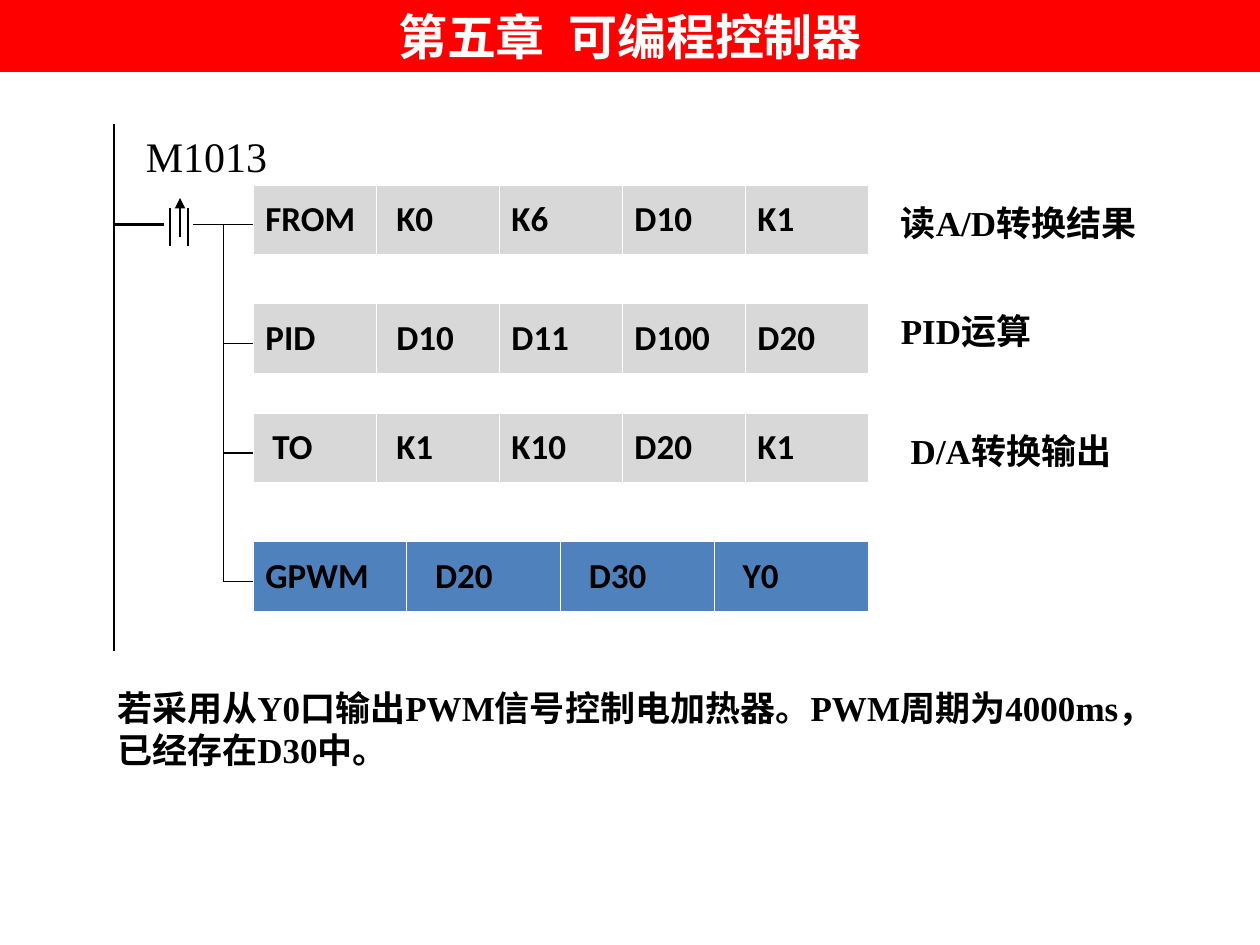
from lxml import etree
from pptx import Presentation
from pptx.dml.color import RGBColor
from pptx.enum.shapes import MSO_CONNECTOR, MSO_SHAPE
from pptx.enum.text import MSO_ANCHOR, PP_ALIGN
from pptx.oxml import parse_xml
from pptx.oxml.ns import nsdecls, qn
from pptx.util import Cm, Pt

STRAIGHT = MSO_CONNECTOR.STRAIGHT
RECTANGLE = MSO_SHAPE.RECTANGLE
TOP, MIDDLE = MSO_ANCHOR.TOP, MSO_ANCHOR.MIDDLE
CENTER = PP_ALIGN.CENTER
color = RGBColor.from_string
SERIF, SANS = "Times New Roman", "Calibri"


def add_span(para, text, size, font=SERIF, bold=True, ink="000000"):
    span = para.add_run()
    span.text = text
    span.font.size = Pt(size)
    span.font.name = font
    span.font.bold = bold
    span.font.color.rgb = color(ink)
    return span


def add_line(shapes, x1, y1, x2, y2, width):
    line = shapes.add_connector(STRAIGHT, Cm(x1), Cm(y1), Cm(x2), Cm(y2))
    line.line.color.rgb = color("000000")
    line.line.width = Pt(width)
    etree.SubElement(line._element.spPr, qn("a:effectLst"))
    return line


deck = Presentation()
deck.slide_width, deck.slide_height = Cm(25.4), Cm(19.05)
page = deck.slides.add_slide(deck.slide_layouts[6])

# Chapter banner
banner = page.shapes.add_shape(RECTANGLE, 0, 0, deck.slide_width, Cm(1.45))
banner.shadow.inherit = False
banner.fill.solid()
banner.fill.fore_color.rgb = color("FF0000")
banner.line.fill.background()
banner.text_frame.vertical_anchor = TOP
para = banner.text_frame.paragraphs[0]
para.alignment = CENTER
add_span(para, "第五章", 28, ink="FFFFFF")
gap = add_span(para, " ", 28, ink="FFFFFF")
gap._r.get_or_add_rPr().set("spc", "700")
add_span(para, "可编程控制器", 28, ink="FFFFFF")

# Power rail and rising-edge contact
RAIL_X, BRANCH_X, BLOCK_X = 2.3, 4.5, 5.1
BLOCK_WIDTH, BLOCK_HEIGHT, WIRE_DROP = 12.4, 1.4, 0.8
BLOCK_TOPS = [3.73, 6.12, 8.33, 10.92]
wire_levels = [top + WIRE_DROP for top in BLOCK_TOPS]

add_line(page.shapes, RAIL_X, 2.51, RAIL_X, 13.13, 0.75)
add_line(page.shapes, RAIL_X, wire_levels[0], 3.3, wire_levels[0], 1.5)
contact = page.shapes.add_group_shape()
for x in (3.43, 3.79):
    add_line(contact.shapes, x, 4.19, x, 4.95, 1.5)
edge_arrow = add_line(page.shapes, 3.63, 4.78, 3.63, 3.99, 1.5)
etree.SubElement(edge_arrow.line._get_or_add_ln(), qn("a:tailEnd"), type="triangle")

# Branch wires
add_line(page.shapes, BRANCH_X, wire_levels[0], BRANCH_X, wire_levels[-1], 0.75)
for level, start in zip(wire_levels, [3.89] + [BRANCH_X] * 3):
    add_line(page.shapes, BLOCK_X, level, start, level, 0.75)

# Instruction blocks: operands, indents in cm, fill, opacity in percent
blocks = [
    (["FROM", "K0", "K6", "D10", "K1"], [0, 0.16, 0, 0, 0], "B2B2B2", 50),
    (["PID", "D10", "D11", "D100", "D20"], [0, 0.16, 0, 0, 0], "B2B2B2", 50),
    (["TO", "K1", "K10", "D20", "K1"], [0.14, 0.16, 0, 0, 0], "B2B2B2", 50),
    (["GPWM", "D20", "D30", "Y0"], [0, 0.32, 0.32, 0.32], "4F81BD", 100),
]
for top, (operands, indents, fill, opacity) in zip(BLOCK_TOPS, blocks):
    table = page.shapes.add_table(1, len(operands), Cm(BLOCK_X), Cm(top),
                                  Cm(BLOCK_WIDTH), Cm(BLOCK_HEIGHT)).table
    table.first_row = table.horz_banding = False
    for column, operand, indent in zip(table.columns, operands, indents):
        column.width = Cm(BLOCK_WIDTH / len(operands))
    for cell, operand, indent in zip(table.rows[0].cells, operands, indents):
        cell.vertical_anchor = MIDDLE
        cell.margin_left = Cm(0.25 + indent)
        cell.fill.solid()
        cell.fill.fore_color.rgb = color(fill)
        properties = cell._tc.get_or_add_tcPr()
        if opacity < 100:
            fill_color = properties.find(".//" + qn("a:srgbClr"))
            etree.SubElement(fill_color, qn("a:alpha"), val=str(opacity * 1000))
        for position, side in enumerate(("lnL", "lnR", "lnT", "lnB")):
            properties.insert(position, parse_xml(
                f'<a:{side} {nsdecls("a")} w="5715"><a:solidFill>'
                f'<a:srgbClr val="FFFFFF"/></a:solidFill></a:{side}>'))
        add_span(cell.text_frame.paragraphs[0], operand, 20, SANS)

# Labels: left, top, width, height, paragraphs, size, bold, wrap
labels = [
    (2.69, 2.51, 2.95, 1.27, ["M1013"], 24, False, False),
    (17.91, 3.94, 6.43, 1.12, ["读A/D转换结果"], 20, True, True),
    (17.91, 6.12, 6.43, 1.12, ["PID运算"], 20, True, True),
    (18.11, 8.53, 6.43, 1.12, ["D/A转换输出"], 20, True, True),
    (2.11, 13.72, 21.62, 2.79,
     ["若采用从Y0口输出PWM信号控制电加热器。PWM周期为4000ms，", "已经存在D30中。"],
     20, True, True),
]
for left, top, width, height, lines, size, bold, wrap in labels:
    box = page.shapes.add_textbox(Cm(left), Cm(top), Cm(width), Cm(height))
    frame = box.text_frame
    frame.word_wrap = wrap
    for index, text in enumerate(lines):
        para = frame.add_paragraph() if index else frame.paragraphs[0]
        add_span(para, text, size, bold=bold)

deck.save("out.pptx")
